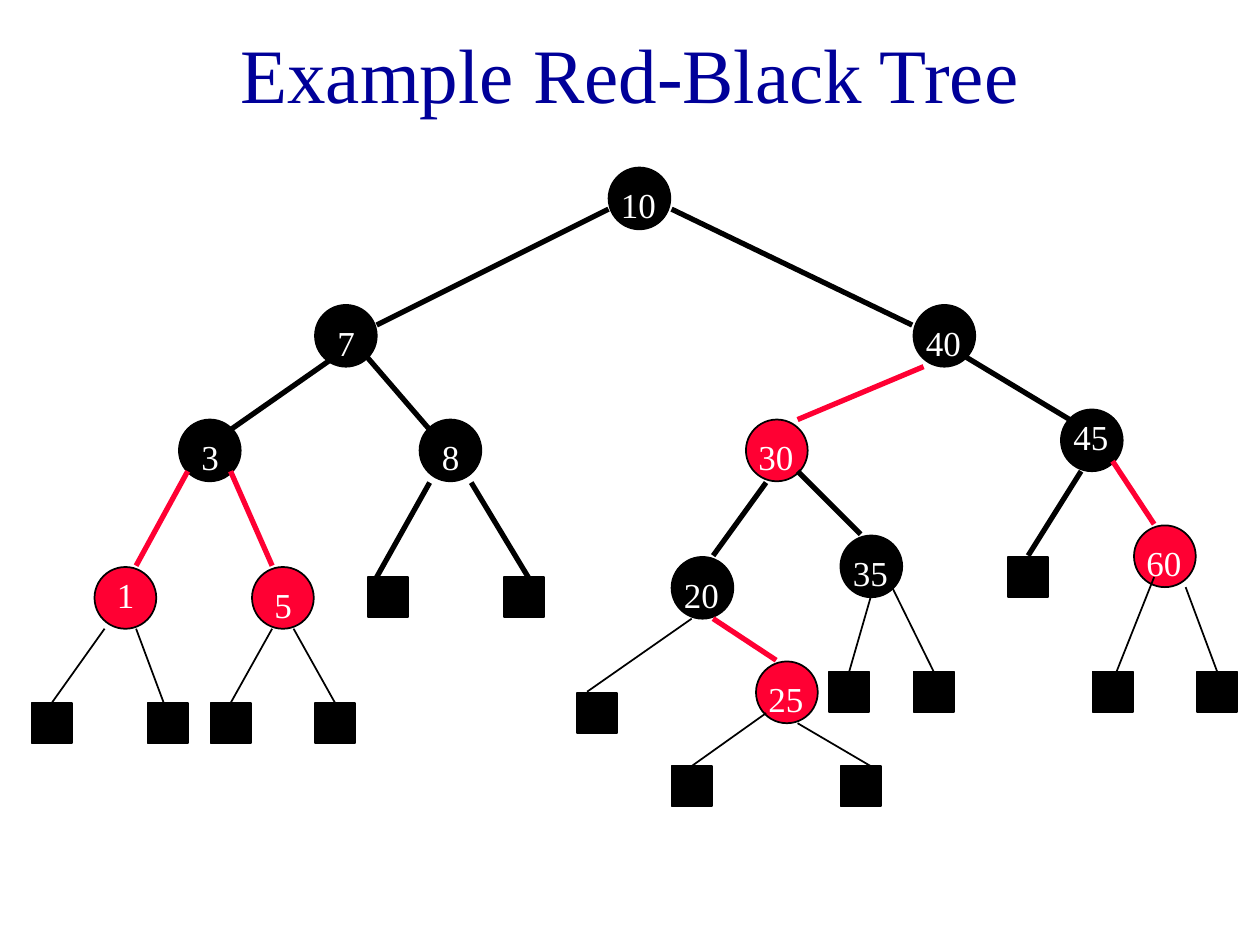
import dataclasses

import pptx
import pptx.dml.color
import pptx.enum.shapes
import pptx.enum.text
import pptx.oxml.ns
import pptx.util
from pptx.util import Inches


@dataclasses.dataclass(frozen=True)
class Theme:
    font: str = "Times New Roman"
    title: str = "000099"
    black: str = "000000"
    red: str = "FF0033"
    white: str = "FFFFFF"
    head_size: int = 44
    key_size: int = 20
    thick: int = 3
    thin: int = 1


THEME = Theme()
NODE_SIZE = 0.49
LEAF_SIZE = 0.32
OVAL = pptx.enum.shapes.MSO_SHAPE.OVAL
SQUARE = pptx.enum.shapes.MSO_SHAPE.RECTANGLE

# key, left, top, drop of the key inside the node
NODES = {
    THEME.black: [
        ("10", 4.83, 1.33, 0.08), ("7", 2.5, 2.42, 0.08), ("40", 7.25, 2.42, 0.08),
        ("3", 1.42, 3.33, 0.08), ("8", 3.33, 3.33, 0.08), ("20", 5.33, 4.42, 0.08),
        ("35", 6.67, 4.25, 0.08), ("45", 8.42, 3.25, 0),
    ],
    THEME.red: [
        ("30", 5.92, 3.33, 0.08), ("1", 0.75, 4.5, 0), ("5", 2, 4.5, 0.08),
        ("25", 6, 5.25, 0.08), ("60", 9, 4.17, 0.08),
    ],
}

LEAVES = {
    4.42: [8],
    4.58: [2.92, 4],
    5.33: [6.58, 7.25, 8.67, 9.5],
    5.5: [4.58],
    5.58: [0.25, 1.17, 1.67, 2.5],
    6.08: [5.33, 6.67],
}

EDGES = {
    (THEME.black, THEME.thick): [
        (4.83, 1.66, 2.99, 2.58), (5.33, 1.66, 7.24, 2.58),
        (2.66, 2.83, 1.83, 3.41), (2.91, 2.83, 3.41, 3.41),
        (6.08, 3.83, 5.66, 4.41), (6.33, 3.74, 6.83, 4.24),
        (7.66, 2.83, 8.49, 3.33), (8.58, 3.74, 8.16, 4.41),
        (3.41, 3.83, 2.99, 4.58), (3.74, 3.83, 4.24, 4.66),
    ],
    (THEME.red, THEME.thick): [
        (7.33, 2.91, 6.33, 3.33), (1.49, 3.74, 1.08, 4.49),
        (1.83, 3.74, 2.16, 4.49), (5.66, 4.91, 6.16, 5.24),
        (8.83, 3.66, 9.16, 4.16),
    ],
    (THEME.black, THEME.thin): [
        (0.83, 4.99, 0.41, 5.58), (1.08, 4.99, 1.33, 5.66),
        (2.16, 4.99, 1.83, 5.58), (2.33, 4.99, 2.66, 5.58),
        (5.49, 4.91, 4.66, 5.49), (6.08, 5.66, 5.49, 6.08),
        (6.33, 5.74, 6.91, 6.08), (6.91, 4.74, 6.74, 5.33),
        (7.08, 4.66, 7.41, 5.33), (9.16, 4.58, 8.83, 5.41),
        (9.41, 4.66, 9.66, 5.33),
    ],
}


def tint(code):
    return pptx.dml.color.RGBColor.from_string(code)


def write(shape, text, *, size, color, align="LEFT", anchor="TOP"):
    frame = shape.text_frame
    frame.word_wrap = True
    frame.auto_size = pptx.enum.text.MSO_AUTO_SIZE.NONE
    frame.vertical_anchor = pptx.enum.text.MSO_ANCHOR[anchor]
    line = frame.paragraphs[0]
    line.alignment = pptx.enum.text.PP_ALIGN[align]
    run = line.add_run()
    run.text = text
    run.font.name = THEME.font
    run.font.size = pptx.util.Pt(size)
    run.font.color.rgb = tint(color)


def add_title(slide, text):
    title = slide.shapes.title
    title.left, title.top = Inches(0.75), Inches(0.33)
    title.width, title.height = Inches(8.5), Inches(0.5)
    write(title, text, size=THEME.head_size, color=THEME.title,
          align="CENTER", anchor="MIDDLE")


def add_mark(slide, kind, left, top, size, color):
    mark = slide.shapes.add_shape(
        kind, Inches(left), Inches(top), Inches(size), Inches(size))
    mark.shadow.inherit = False
    mark.fill.solid()
    mark.fill.fore_color.rgb = tint(color)
    mark.line.color.rgb = tint(THEME.black)
    mark.line.width = pptx.util.Pt(THEME.thin)


def add_edge(slide, ends, color, width):
    edge = slide.shapes.add_connector(
        pptx.enum.shapes.MSO_CONNECTOR.STRAIGHT, *map(Inches, ends))
    edge.line.color.rgb = tint(color)
    edge.line.width = pptx.util.Pt(width)
    edge._element.spPr.append(
        pptx.oxml.xmlchemy.OxmlElement("a:effectLst"))


def add_key(slide, key, left, top):
    shift = 0.08 if len(key) == 1 else 0
    box = slide.shapes.add_textbox(
        Inches(left + shift), Inches(top), Inches(0.5), Inches(0.43))
    write(box, key, size=THEME.key_size, color=THEME.white)


def main():
    deck = pptx.Presentation()
    deck.slide_width, deck.slide_height = Inches(10), Inches(7.5)
    slide = deck.slides.add_slide(deck.slide_layouts[5])
    add_title(slide, "Example Red-Black Tree")
    for color, nodes in NODES.items():
        for key, left, top, drop in nodes:
            add_mark(slide, OVAL, left, top, NODE_SIZE, color)
    for top, lefts in LEAVES.items():
        for left in lefts:
            add_mark(slide, SQUARE, left, top, LEAF_SIZE, THEME.black)
    for (color, width), edges in EDGES.items():
        for ends in edges:
            add_edge(slide, ends, color, width)
    for nodes in NODES.values():
        for key, left, top, drop in nodes:
            add_key(slide, key, left, top + drop)
    deck.save("out.pptx")


if __name__ == "__main__":
    main()
